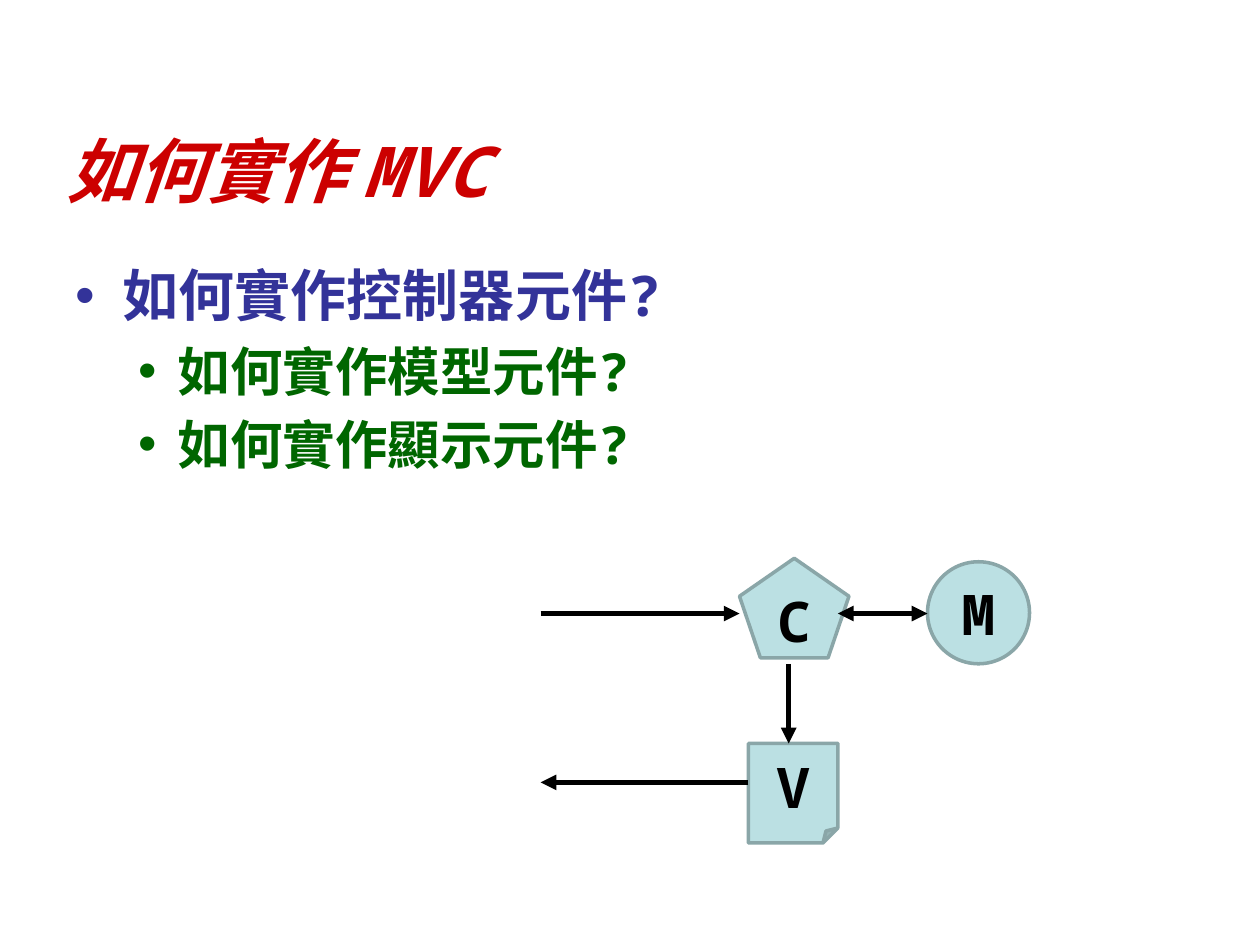
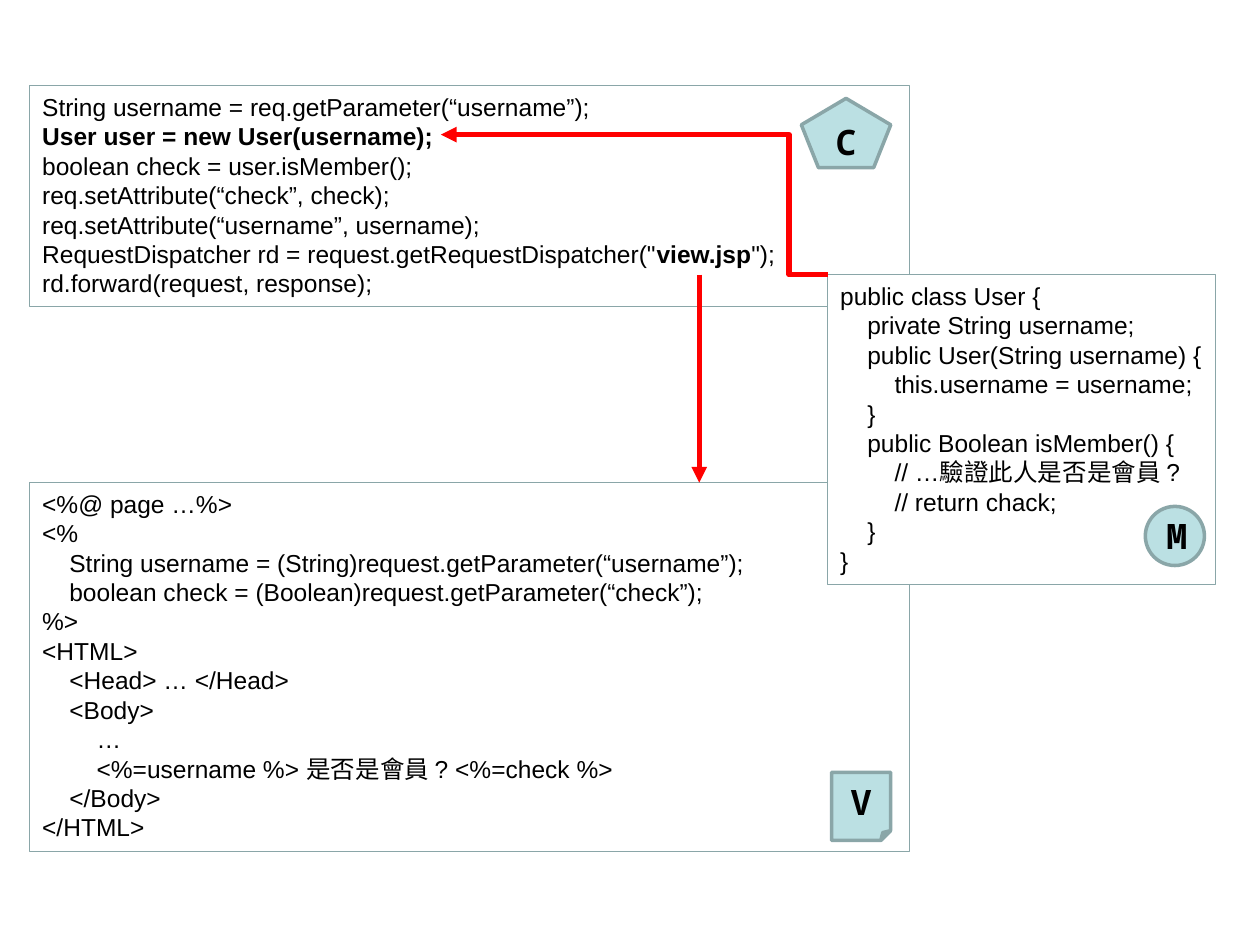
from dataclasses import dataclass

from lxml import etree
from pptx import Presentation
from pptx.dml import color as dc
from pptx.enum import shapes as es, text as et
from pptx.oxml import ns
from pptx.util import Pt

RGB = dc.RGBColor.from_string
FORM = es.MSO_SHAPE


@dataclass(frozen=True)
class Theme:
    red: str = "CC0000"
    blue: str = "333399"
    green: str = "006600"
    ink: str = "000000"
    paper: str = "FFFFFF"
    aqua: str = "BBE0E3"
    edge: str = "8AA6A8"
    flow: str = "FF0000"
    mono: str = "Noto Sans Mono"
    sans: str = "Arial"
    head: int = 40
    item: int = 32
    sub: int = 30
    large: int = 32
    small: int = 20
    code: int = 14


def style(font, color, **form):
    font.color.rgb = RGB(color)
    for key, val in form.items():
        setattr(font, key, val)


def place(shape, box):
    for key, val in zip(("left", "top", "width", "height"), box):
        setattr(shape, key, Pt(val))


def add(parent, tag, **attrs):
    return etree.SubElement(parent, ns.qn(tag), attrs)


class Deck:
    SIGNS = {"C": FORM.REGULAR_PENTAGON, "M": FORM.OVAL, "V": FORM.FOLDED_CORNER}

    def __init__(self, theme):
        self.theme = theme
        self.file = Presentation()
        self.file.slide_width, self.file.slide_height = Pt(720), Pt(540)
        self.slide = None

    def page(self, layout):
        self.slide = self.file.slides.add_slide(self.file.slide_layouts[layout])

    def title(self, words, box):
        t, shape = self.theme, self.slide.shapes.title
        place(shape, box)
        frame = shape.text_frame
        frame.text = words
        frame.auto_size = et.MSO_AUTO_SIZE.NONE
        frame.vertical_anchor = et.MSO_ANCHOR.MIDDLE
        para = frame.paragraphs[0]
        para.alignment = et.PP_ALIGN.LEFT
        style(para.runs[0].font, t.red, name=t.mono, size=Pt(t.head), bold=True, italic=True)

    def list(self, items, box):
        """Fill the body placeholder with (level, words) items."""
        t, shape = self.theme, self.slide.placeholders[1]
        place(shape, box)
        frame = shape.text_frame
        frame.auto_size = et.MSO_AUTO_SIZE.NONE
        looks = ((t.blue, t.item, 27, 27), (t.green, t.sub, 58.5, 22.5))
        for i, (level, words) in enumerate(items):
            para = frame.paragraphs[0] if i == 0 else frame.add_paragraph()
            color, size, left, hang = looks[level]
            para.level = level
            para.space_before = Pt(6 if i else 0)
            props = para._p.get_or_add_pPr()
            props.set("marL", str(Pt(left)))
            props.set("indent", str(-Pt(hang)))
            add(props, "a:buFont", typeface=t.sans)
            add(props, "a:buChar", char="•")
            run = para.add_run()
            run.text = words
            style(run.font, color, name=t.mono, size=Pt(size), bold=True)

    def shape(self, form, box, fill, width):
        shape = self.slide.shapes.add_shape(form, *map(Pt, box))
        shape.shadow.inherit = False
        shape.fill.solid()
        shape.fill.fore_color.rgb = RGB(fill)
        shape.line.color.rgb = RGB(self.theme.edge)
        shape.line.width = Pt(width)
        return shape

    def sign(self, name, box, size):
        """Draw the sign of one MVC element: C, M or V."""
        t = self.theme
        frame = self.shape(self.SIGNS[name], box, t.aqua, 2).text_frame
        frame.text = name
        frame.vertical_anchor = et.MSO_ANCHOR.MIDDLE
        para = frame.paragraphs[0]
        para.alignment = et.PP_ALIGN.CENTER
        style(para.runs[0].font, t.ink, name=t.mono, size=Pt(size), bold=True)

    def code(self, source, box, wrap=True):
        """Show source in a frame; words between ** marks are bold."""
        t = self.theme
        frame = self.shape(FORM.RECTANGLE, box, t.paper, 0.75).text_frame
        form = {"word_wrap": wrap, "vertical_anchor": et.MSO_ANCHOR.TOP,
                "auto_size": et.MSO_AUTO_SIZE.SHAPE_TO_FIT_TEXT}
        for key, val in form.items():
            setattr(frame, key, val)
        for i, line in enumerate(source.strip("\n").split("\n")):
            para = frame.paragraphs[0] if i == 0 else frame.add_paragraph()
            para.alignment = et.PP_ALIGN.LEFT
            for j, words in enumerate(line.split("**")):
                if words:
                    run = para.add_run()
                    run.text = words
                    style(run.font, t.ink, name=t.sans, size=Pt(t.code), bold=j % 2 == 1)

    def arrow(self, start, end, color, both=False, bend=None):
        """Draw an arrow; bend is the share of the way where an elbow turns."""
        kind = es.MSO_CONNECTOR.STRAIGHT if bend is None else es.MSO_CONNECTOR.ELBOW
        link = self.slide.shapes.add_connector(kind, *map(Pt, start + end))
        link.line.color.rgb = RGB(color)
        link.line.width = Pt(3)
        props = link._element.spPr
        line = props.find(ns.qn("a:ln"))
        for tag in ("a:headEnd", "a:tailEnd")[0 if both else 1:]:
            add(line, tag, type="triangle")
        add(props, "a:effectLst")
        if bend is not None:
            geom = props.find(ns.qn("a:prstGeom"))
            guides = geom.find(ns.qn("a:avLst"))
            if guides is None:
                guides = add(geom, "a:avLst")
            add(guides, "a:gd", name="adj1", fmla=f"val {round(bend * 100000)}")


CONTROL = """
String username = req.getParameter(“username”);
**User user = new User(username);**
boolean check = user.isMember();
req.setAttribute(“check”, check);
req.setAttribute(“username”, username);
RequestDispatcher rd = request.getRequestDispatcher("**view.jsp**");
rd.forward(request, response);
"""

VIEW = """
<%@ page …%>
<%
    String username = (String)request.getParameter(“username”);
    boolean check = (Boolean)request.getParameter(“check”);
%>
<HTML>
    <Head> … </Head>
    <Body>
        …
        <%=username %> 是否是會員 ? <%=check %>
    </Body>
</HTML>
"""

MODEL = """
public class User {
    private String username;
    public User(String username) {
        this.username = username;
    }
    public Boolean isMember() {
        // …驗證此人是否是會員 ?
        // return chack;
    }
}
"""


def plan(deck):
    """Slide 1: the questions and how the elements connect."""
    t = deck.theme
    deck.page(1)
    deck.title("如何實作 MVC", (31, 65.5, 648, 62.6))
    deck.list([(0, "如何實作控制器元件?"), (1, "如何實作模型元件?"),
               (1, "如何實作顯示元件?")], (36, 145.5, 648, 142))
    deck.sign("C", (422.6, 319, 62.6, 56.9), t.large)
    deck.sign("M", (530, 321, 58.3, 58.3), t.large)
    deck.sign("V", (427.7, 424.8, 51.1, 56.9), t.large)
    deck.arrow((309, 350.6), (422.6, 350.6), t.ink)
    deck.arrow((478.8, 350.6), (530, 350.6), t.ink, both=True)
    deck.arrow((427.7, 447.1), (309, 447.1), t.ink)
    deck.arrow((450.7, 379.4), (450.7, 424.8), t.ink)


def sample(deck):
    """Slide 2: the code of each element."""
    t = deck.theme
    deck.page(6)
    deck.code(CONTROL, (17, 49, 502.6, 126))
    deck.code(VIEW, (17, 275.8, 502.6, 211))
    deck.code(MODEL, (473, 157, 221.8, 177), wrap=False)
    deck.arrow((473, 157), (252, 77), t.flow, bend=0.1)
    deck.arrow((399.6, 157), (399.6, 275.8), t.flow)
    deck.sign("C", (457.9, 56.2, 51.1, 39.6), t.small)
    deck.sign("M", (654.5, 289.4, 33.8, 33.8), t.small)
    deck.sign("V", (475.2, 441.4, 33.8, 38.9), t.small)


def main():
    deck = Deck(Theme())
    plan(deck)
    sample(deck)
    deck.file.save("out.pptx")


if __name__ == "__main__":
    main()
